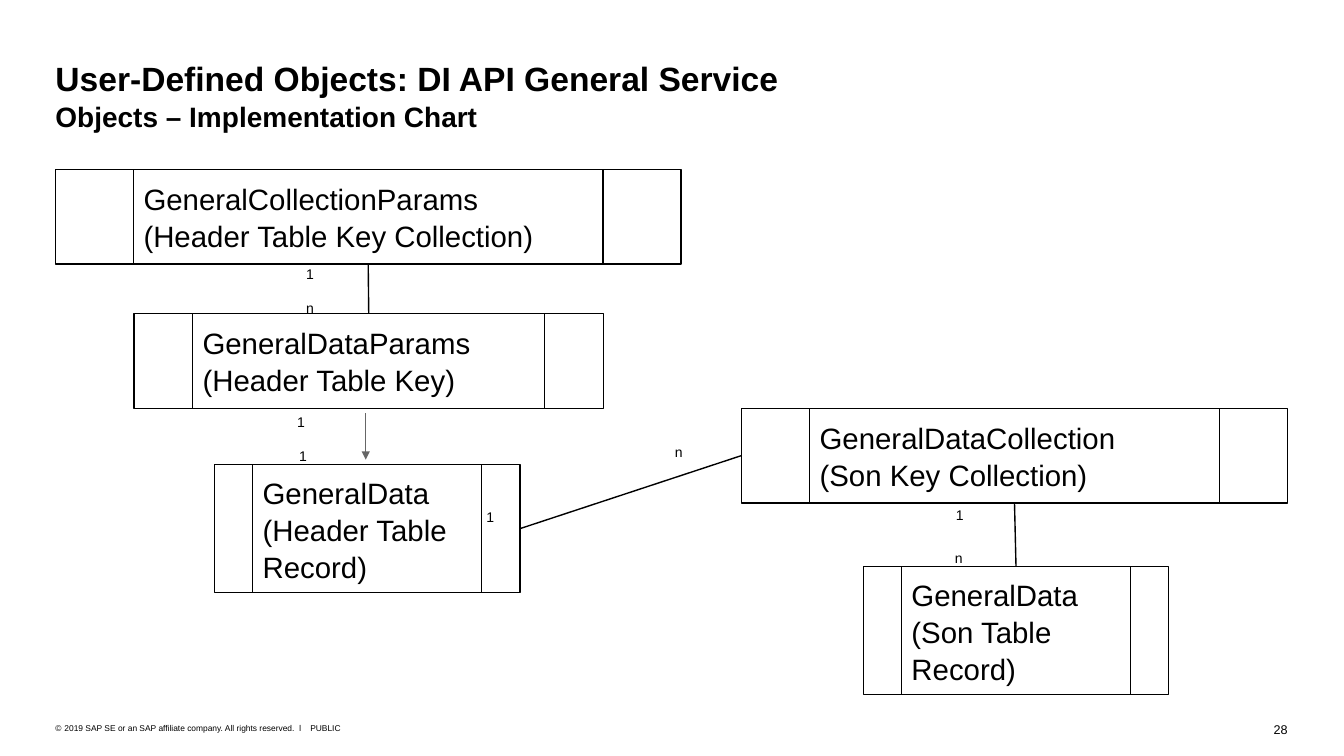
from dataclasses import dataclass

from lxml import etree
from pptx import Presentation
from pptx import util as u
from pptx.dml.color import RGBColor
from pptx.enum import shapes, text
from pptx.oxml.ns import qn

PX = 9144  # EMU in one px, 100 px to the inch
FONT = "Arial"
HUES = {"ink": "000000", "paper": "FFFFFF", "arrow": "666666"}


@dataclass
class Box:
    key: str
    x: int
    y: int
    w: int
    h: int
    lines: list[str]


@dataclass
class Link:
    start: str
    end: str
    out: int  # connection site: 0 top, 1 left, 2 bottom, 3 right
    into: int


@dataclass
class Note:
    x: int
    y: int
    w: int
    h: int
    words: str
    size: int = 10
    pad: int = 0
    right: bool = False
    bullet: str = ""


BOXES = [
    Box("record", 213, 461, 303, 127, ["GeneralData", "(Header Table", "Record)"]),
    Box("params", 133, 311, 466, 94, ["GeneralDataParams", "(Header Table Key)"]),
    Box("keys", 55, 168, 621, 94,
        ["GeneralCollectionParams", "(Header Table Key Collection)"]),
    Box("sons", 736, 405, 542, 94, ["GeneralDataCollection", "(Son Key Collection)"]),
    Box("son", 857, 562, 303, 127, ["GeneralData", "(Son Table", "Record)"]),
]
LINKS = [
    Link("keys", "params", 2, 0),
    Link("record", "sons", 3, 1),
    Link("sons", "son", 2, 0),
]
COUNTS = [
    (285, 404, "1"), (287, 438, "1"), (294, 258, "1"), (294, 291, "n"),
    (660, 434, "n"), (938, 539, "n"), (473, 499, "1"), (939, 497, "1"),
]
FOOT = [
    Note(55, 717, 248, 10,
         "2019 SAP SE or an SAP affiliate company. All rights reserved.  ǀ",
         6, bullet="©"),
    Note(308, 717, 31, 10, "PUBLIC", 6),
    Note(1258, 715, 20, 15, "28", 9, right=True),
]


def px(n: int) -> int:
    return u.Emu(n * PX)


def hue(name: str) -> RGBColor:
    return RGBColor.from_string(HUES[name])


def frame(shape, pad_x: int, pad_y: int, anchor):
    tf = shape.text_frame
    tf.word_wrap = True
    tf.auto_size = text.MSO_AUTO_SIZE.NONE
    tf.vertical_anchor = anchor
    tf.margin_left = tf.margin_right = px(pad_x)
    tf.margin_top = tf.margin_bottom = px(pad_y)
    return tf


def align(para, side=text.PP_ALIGN.LEFT) -> None:
    para.alignment = side
    para.line_spacing = 1.05


def add_run(para, words: str, size: int, bold: bool = False) -> None:
    run = para.add_run()
    run.text = words
    font = run.font
    font.name, font.size, font.bold = FONT, u.Pt(size), bold
    font.color.rgb = hue("ink")


def set_title(slide) -> None:
    title = slide.shapes.title
    title.left, title.top, title.width, title.height = map(px, (55, 55, 1223, 74))
    para = frame(title, 0, 0, text.MSO_ANCHOR.TOP).paragraphs[0]
    align(para)
    add_run(para, "User-Defined Objects: DI API General Service", 24, True)
    para.add_line_break()
    add_run(para, "Objects – Implementation Chart", 20, True)


def add_box(slide, box: Box):
    kind = shapes.MSO_SHAPE.FLOWCHART_PREDEFINED_PROCESS
    shape = slide.shapes.add_shape(kind, *map(px, (box.x, box.y, box.w, box.h)))
    shape.shadow.inherit = False
    shape.fill.solid()
    shape.fill.fore_color.rgb = hue("paper")
    shape.line.color.rgb = hue("ink")
    shape.line.width = u.Pt(1)
    tf = frame(shape, 10, 5, text.MSO_ANCHOR.MIDDLE)
    for i, words in enumerate(box.lines):
        para = tf.add_paragraph() if i else tf.paragraphs[0]
        align(para)
        add_run(para, words, 21)
    return shape


def add_line(slide, ends: tuple[int, int, int, int], color: str, width: float):
    line = slide.shapes.add_connector(shapes.MSO_CONNECTOR.STRAIGHT, *map(px, ends))
    line.line.color.rgb = hue(color)
    line.line.width = u.Pt(width)
    etree.SubElement(line._element.spPr, qn("a:effectLst"))
    return line


def add_note(slide, note: Note) -> None:
    shape = slide.shapes.add_textbox(*map(px, (note.x, note.y, note.w, note.h)))
    tf = frame(shape, note.pad, note.pad // 2, text.MSO_ANCHOR.TOP)
    para = tf.paragraphs[0]
    align(para, text.PP_ALIGN.RIGHT if note.right else text.PP_ALIGN.LEFT)
    if note.bullet:
        props = para._p.get_or_add_pPr()
        props.set("marL", str(px(9)))
        props.set("indent", str(px(-9)))
        etree.SubElement(props, qn("a:buFont"), typeface=FONT)
        etree.SubElement(props, qn("a:buChar"), char=note.bullet)
    add_run(para, note.words, note.size)


def main() -> None:
    deck = Presentation()
    deck.slide_width, deck.slide_height = px(1334), px(750)
    slide = deck.slides.add_slide(deck.slide_layouts[5])
    set_title(slide)

    # Object boxes and the links between them
    made = {box.key: add_box(slide, box) for box in BOXES}
    for link in LINKS:
        line = add_line(slide, (0, 0, 0, 0), "ink", 1)
        line.begin_connect(made[link.start], link.out)
        line.end_connect(made[link.end], link.into)

    # Arrow from key to record
    arrow = add_line(slide, (363, 410, 363, 456), "arrow", 0.75)
    etree.SubElement(arrow.line._get_or_add_ln(), qn("a:tailEnd"), type="triangle")

    # Counts at the link ends, then the footer
    for x, y, words in COUNTS:
        add_note(slide, Note(x, y, 114, 27, words, pad=10))
    for note in FOOT:
        add_note(slide, note)
    deck.save("out.pptx")


if __name__ == "__main__":
    main()
